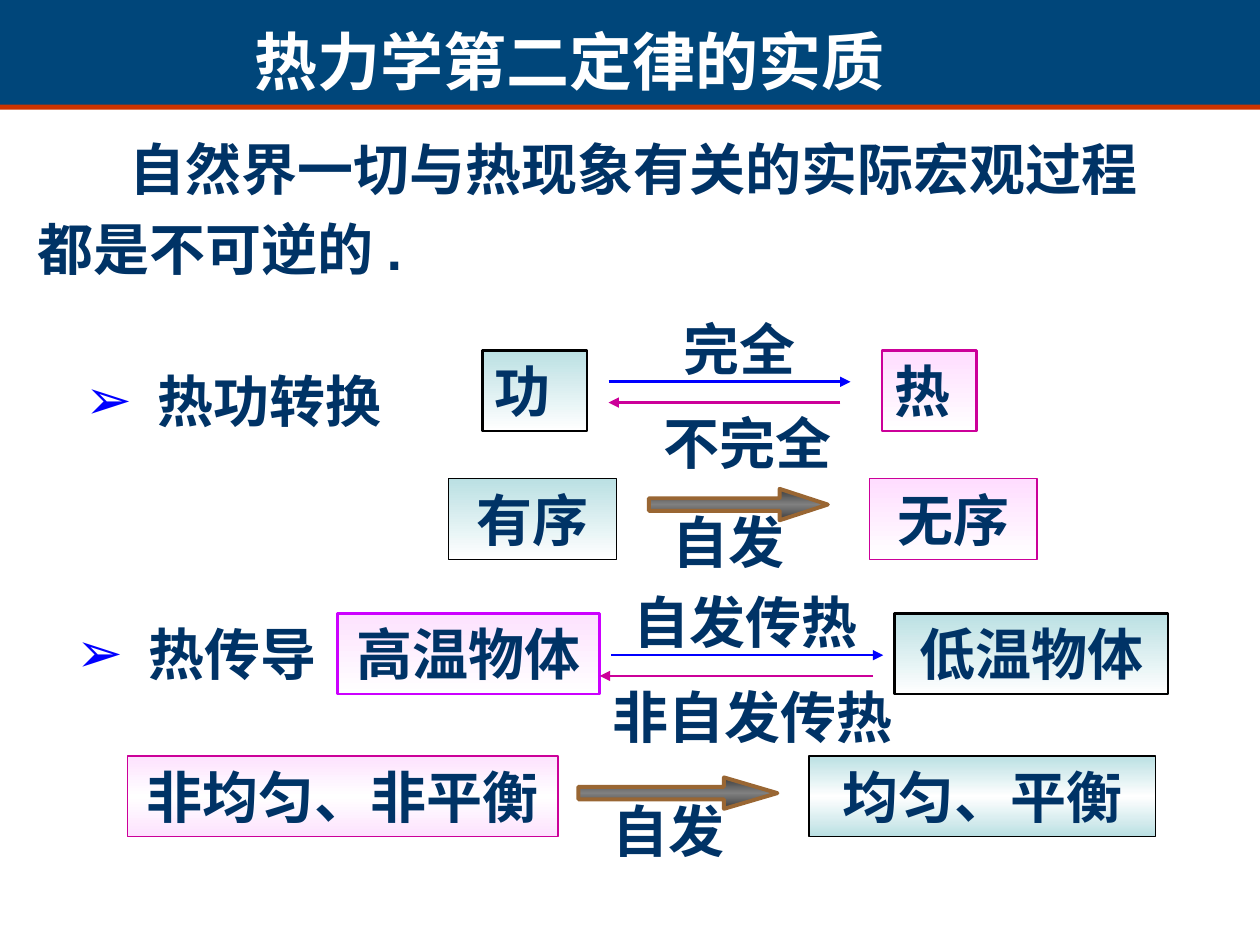
from dataclasses import dataclass

from lxml import etree
from pptx import Presentation
from pptx import util as u
from pptx.dml.color import RGBColor
from pptx.enum import shapes, text
from pptx.oxml import parse_xml
from pptx.oxml.ns import nsdecls, qn


@dataclass(frozen=True)
class Theme:
    band: str = "00467A"
    rule: str = "CC3300"
    ink: str = "003366"
    white: str = "FFFFFF"
    black: str = "000000"
    blue: str = "0000FF"
    rose: str = "CC0099"
    violet: str = "CC00FF"
    bronze: str = "996633"
    teal: tuple = ("BBE0E3", "FFFFFF")
    pink: tuple = ("FFDDFF", "FFFFFF")
    pale: tuple = ("FDE2FE", "FFFFFF")
    steel: tuple = ("3B3B3B", "808080", "3B3B3B")
    head: int = 36
    body: int = 32
    font: str = "Arial"
    serif: str = "Times New Roman"


T = Theme()
WIDE, HIGH = u.Inches(10), u.Inches(7.5)
TALL = 8.53   # height of every box, in percent of the slide


def across(share):
    return round(WIDE * share / 100)


def down(share):
    return round(HIGH * share / 100)


def frame(x, y, w, h):
    """Turn percentages of the slide into left, top, width, height."""
    return across(x), down(y), across(w), down(h)


def write(shape, words, size=T.body, color=T.ink, font=T.font,
          align=text.PP_ALIGN.LEFT, space=None, first=0, bullet=None):
    body = shape.text_frame
    body.word_wrap = True
    body.auto_size = text.MSO_AUTO_SIZE.SHAPE_TO_FIT_TEXT
    body.vertical_anchor = text.MSO_ANCHOR.TOP
    para = body.paragraphs[0]
    props = para._p.get_or_add_pPr()
    if first:
        props.set("indent", str(u.Inches(first)))
    if bullet:
        hang = u.Inches(0.57)
        props.set("marL", str(hang))
        props.set("indent", str(-hang))
        tint = etree.SubElement(props, qn("a:buClr"))
        etree.SubElement(tint, qn("a:srgbClr"), val=T.blue)
        etree.SubElement(props, qn("a:buFont"), typeface=T.font)
        etree.SubElement(props, qn("a:buChar"), char=bullet)
    para.alignment = align
    if space:
        para.line_spacing = space
    run = para.add_run()
    run.text = words
    run.font.size = u.Pt(size)
    run.font.bold = True
    run.font.name = font
    run.font.color.rgb = RGBColor.from_string(color)


def label(slide, words, x, y, w, h=TALL, **form):
    write(slide.shapes.add_textbox(*frame(x, y, w, h)), words, **form)


def shade(shape, colors):
    """Fill from top to bottom with evenly spaced colours."""
    last = len(colors) - 1
    stops = "".join(
        f'<a:gs pos="{100000 * i // last}"><a:srgbClr val="{c}"/></a:gs>'
        for i, c in enumerate(colors))
    fill = parse_xml(f'<a:gradFill {nsdecls("a")} rotWithShape="1"><a:gsLst>{stops}'
                     '</a:gsLst><a:lin ang="5400000" scaled="1"/></a:gradFill>')
    shape._element.spPr.find(qn("a:prstGeom")).addnext(fill)


def form(slide, kind, place, colors, edge=None, width=0):
    shape = slide.shapes.add_shape(kind, *frame(*place))
    shape.shadow.inherit = False
    if isinstance(colors, str):
        shape.fill.solid()
        shape.fill.fore_color.rgb = RGBColor.from_string(colors)
    else:
        shade(shape, colors)
    if edge:
        shape.line.color.rgb = RGBColor.from_string(edge)
        shape.line.width = u.Pt(width)
    else:
        shape.line.fill.background()
    return shape


def box(slide, words, x, y, w, colors, edge, width,
        align=text.PP_ALIGN.CENTER):
    shape = form(slide, shapes.MSO_SHAPE.RECTANGLE, (x, y, w, TALL),
                 colors, edge, width)
    write(shape, words, align=align)


def arrow(slide, start, end, y, color):
    line = slide.shapes.add_connector(
        shapes.MSO_CONNECTOR.STRAIGHT, across(start), down(y),
        across(end), down(y))
    line.line.color.rgb = RGBColor.from_string(color)
    line.line.width = u.Pt(1.5)
    etree.SubElement(line.line._get_or_add_ln(), qn("a:tailEnd"), type="triangle")
    etree.SubElement(line._element.spPr, qn("a:effectLst"))


def pair(slide, y, out, back, upper, lower):
    """Two opposed arrows, with a caption above and one below."""
    gap = 2.2
    label(slide, upper[0], upper[1], y - 7.8, upper[2])
    label(slide, lower[0], lower[1], y + gap, lower[2])
    arrow(slide, *out, y, T.blue)
    arrow(slide, *back, y + gap, T.rose)


def drift(slide, x, y, w, tip, shift):
    """Block arrow for a spontaneous change, with its caption."""
    shape = form(slide, shapes.MSO_SHAPE.RIGHT_ARROW, (x, y, w, 3.33),
                 T.steel, T.bronze, 2.25)
    shape.adjustments[0] = 0.4
    shape.adjustments[1] = tip
    label(slide, "自发", x + shift, y + 1.33, 14.1)


def header(slide):
    bar = shapes.MSO_SHAPE.RECTANGLE
    form(slide, bar, (0, 10.53, 100, 1.07), T.rule)
    form(slide, bar, (0, 0, 100, 11.07), T.band)
    label(slide, "热力学第二定律的实质", 19.2, 1.73, 59.2, 9.33,
          size=T.head, color=T.white, font=T.serif)
    label(slide, "自然界一切与热现象有关的实际宏观过程都是不可逆的 .",
          2, 12.13, 90.8, 18.4, space=1.2, first=0.73)


def work(slide):
    row, left = 37.07, text.PP_ALIGN.LEFT
    label(slide, "热功转换", 5.8, 38.13, 30, bullet="➢")
    box(slide, "功", 38.3, row, 8.3, T.teal, T.black, 1.5, left)
    box(slide, "热", 70, row, 7.5, T.pink, T.rose, 1.5, left)
    pair(slide, 40.4, (48.3, 67.5), (66.7, 48.3),
         ("完全", 53.3, 15), ("不完全", 51.7, 22))
    row = 50.67
    box(slide, "有序", 35.6, row, 13.3, T.teal, T.black, 0.5)
    box(slide, "无序", 69, row, 13.3, T.pink, T.rose, 0.75)
    drift(slide, 51.5, 51.73, 14.2, 1.53, 0.9)


def heat(slide):
    row = 64.93
    label(slide, "热传导", 5.1, row, 30, bullet="➢")
    box(slide, "高温物体", 26.8, row, 20.8, T.pale, T.violet, 1.5)
    box(slide, "低温物体", 71, row, 21.7, T.teal, T.black, 1.5)
    pair(slide, 69.33, (48.5, 70.1), (69.3, 47.6),
         ("自发传热", 49.3, 23.3), ("非自发传热", 47.6, 25.9))
    row = 80
    box(slide, "非均匀、非平衡", 10.1, row, 34.2,
        T.pale + T.pale[:1], T.rose, 0.75)
    box(slide, "均匀、平衡", 64.2, row, 27.5,
        T.teal + T.teal[:1], T.black, 0.75)
    drift(slide, 45.9, 82.27, 15.8, 1.7, 1.7)


def main():
    deck = Presentation()
    deck.slide_width, deck.slide_height = WIDE, HIGH
    slide = deck.slides.add_slide(deck.slide_layouts[6])
    header(slide)
    work(slide)
    heat(slide)
    deck.save("out.pptx")


if __name__ == "__main__":
    main()
